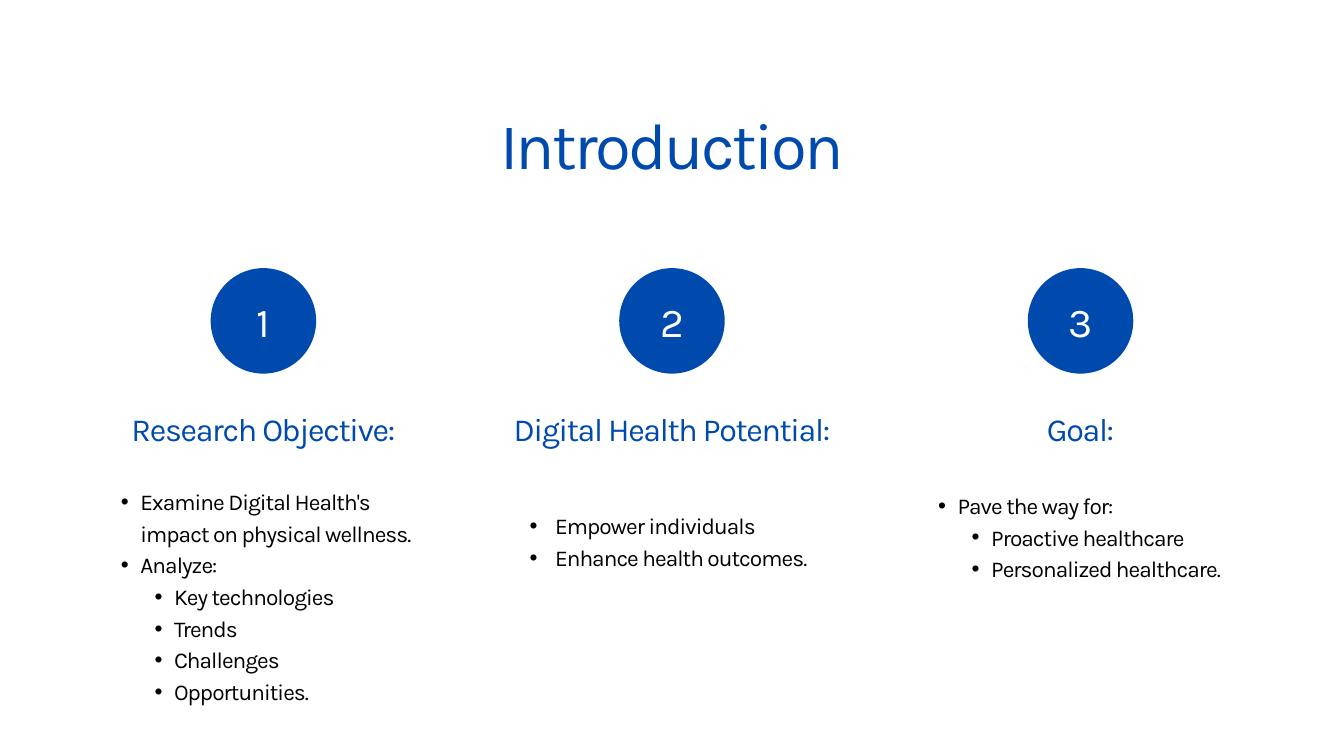
from lxml import etree
from pptx import Presentation
from pptx import util as u
from pptx.dml.color import RGBColor
from pptx.enum import shapes, text
from pptx.oxml.ns import qn

WIDE, HIGH = 20, 11.25
BLUE, BLACK, WHITE = "004AAD", "000000", "FFFFFF"
LEFT, STEP, COL = 1.52, 6.08, 4.8
DISC = 1.57

# Heading, list top, bullet hang, items as (depth, words)
PARTS = [
    ("Research Objective:", 7.19, 0.29, [
        (1, "Examine Digital Health's impact on physical wellness."),
        (1, "Analyze:"),
        (2, "Key technologies"),
        (2, "Trends"),
        (2, "Challenges"),
        (2, "Opportunities."),
    ]),
    ("Digital Health Potential:", 7.55, 0.38, [
        (1, "Empower individuals"),
        (1, "Enhance health outcomes."),
    ]),
    ("Goal:", 7.25, 0.29, [
        (1, "Pave the way for:"),
        (2, "Proactive healthcare"),
        (2, "Personalized healthcare."),
    ]),
]


def color(code):
    """Turn a hex string into a colour."""
    return RGBColor.from_string(code)


def place(shape, left, top, width, height):
    """Move and size a shape, in inches."""
    shape.left, shape.top = u.Inches(left), u.Inches(top)
    shape.width, shape.height = u.Inches(width), u.Inches(height)


def frame(shape, anchor=text.MSO_ANCHOR.TOP):
    """Return the shape's text frame, wrapped and without margins."""
    body = shape.text_frame
    body.word_wrap = True
    body.auto_size = text.MSO_AUTO_SIZE.NONE
    body.vertical_anchor = anchor
    body.margin_left = body.margin_right = 0
    body.margin_top = body.margin_bottom = 0
    return body


def style(para, size, line, track, code, align=text.PP_ALIGN.CENTER):
    """Set font, line height and letter spacing of a paragraph."""
    para.alignment = align
    para.line_spacing = u.Pt(line)
    font = para.font
    font.name, font.size = "Karla", u.Pt(size)
    font.color.rgb = color(code)
    para._p.pPr.find(qn("a:defRPr")).set("spc", str(round(track * 100)))


def bullet(para, depth, hang):
    """Give a styled paragraph a hanging bullet."""
    para.level = depth
    props = para._p.pPr
    props.set("marL", str(u.Inches(depth * 0.5 + hang - 0.22)))
    props.set("indent", str(-u.Inches(hang)))
    fonts = props.find(qn("a:defRPr"))
    for tag, key, value in (("a:buFont", "typeface", "Arial"),
                            ("a:buChar", "char", "•")):
        mark = etree.Element(qn(tag))
        mark.set(key, value)
        fonts.addprevious(mark)


def label(slide, words, box, *look):
    """Add a one-paragraph text box."""
    shape = slide.shapes.add_textbox(0, 0, 0, 0)
    place(shape, *box)
    para = frame(shape).paragraphs[0]
    para.text = words
    style(para, *look)


def badge(slide, number, mid, top):
    """Add a numbered disc centred on mid."""
    disc = slide.shapes.add_shape(shapes.MSO_SHAPE.OVAL, 0, 0, 0, 0)
    place(disc, mid - DISC / 2, top, DISC, DISC)
    disc.shadow.inherit = False
    disc.fill.solid()
    disc.fill.fore_color.rgb = color(BLUE)
    disc.line.fill.background()
    para = frame(disc, text.MSO_ANCHOR.MIDDLE).paragraphs[0]
    para.text = str(number)
    style(para, 44, 52.8, -1.8, WHITE)


def points(slide, items, hang, box):
    """Add a bulleted list of two depths."""
    shape = slide.shapes.add_textbox(0, 0, 0, 0)
    place(shape, *box)
    body = frame(shape)
    for i, (depth, words) in enumerate(items):
        para = body.add_paragraph() if i else body.paragraphs[0]
        para.text = words
        style(para, 24.3, 34, -1, BLACK, text.PP_ALIGN.LEFT)
        bullet(para, depth, hang)


def column(slide, index, part):
    """Add one column: disc, heading and list."""
    head, top, hang, items = part
    left = LEFT + index * STEP
    mid = left + COL / 2
    badge(slide, index + 1, mid, 3.99)
    label(slide, head, (mid - 2.5, 5.99, 5, 0.64), 34.5, 48.3, -1.4, BLUE)
    rows = len(items) + (index == 0)
    points(slide, items, hang, (left, top, COL, rows * 0.47))


def heading(slide, words):
    """Fill the title placeholder."""
    title = slide.shapes.title
    place(title, LEFT, 1.55, WIDE - 2 * LEFT, 1.16)
    para = frame(title).paragraphs[0]
    para.text = words
    style(para, 70, 84, -2.8, BLUE)


def main():
    """Build and save the slide."""
    deck = Presentation()
    deck.slide_width, deck.slide_height = u.Inches(WIDE), u.Inches(HIGH)
    slide = deck.slides.add_slide(deck.slide_layouts.get_by_name("Title Only"))
    heading(slide, "Introduction")
    for index, part in enumerate(PARTS):
        column(slide, index, part)
    deck.save("out.pptx")


main()
